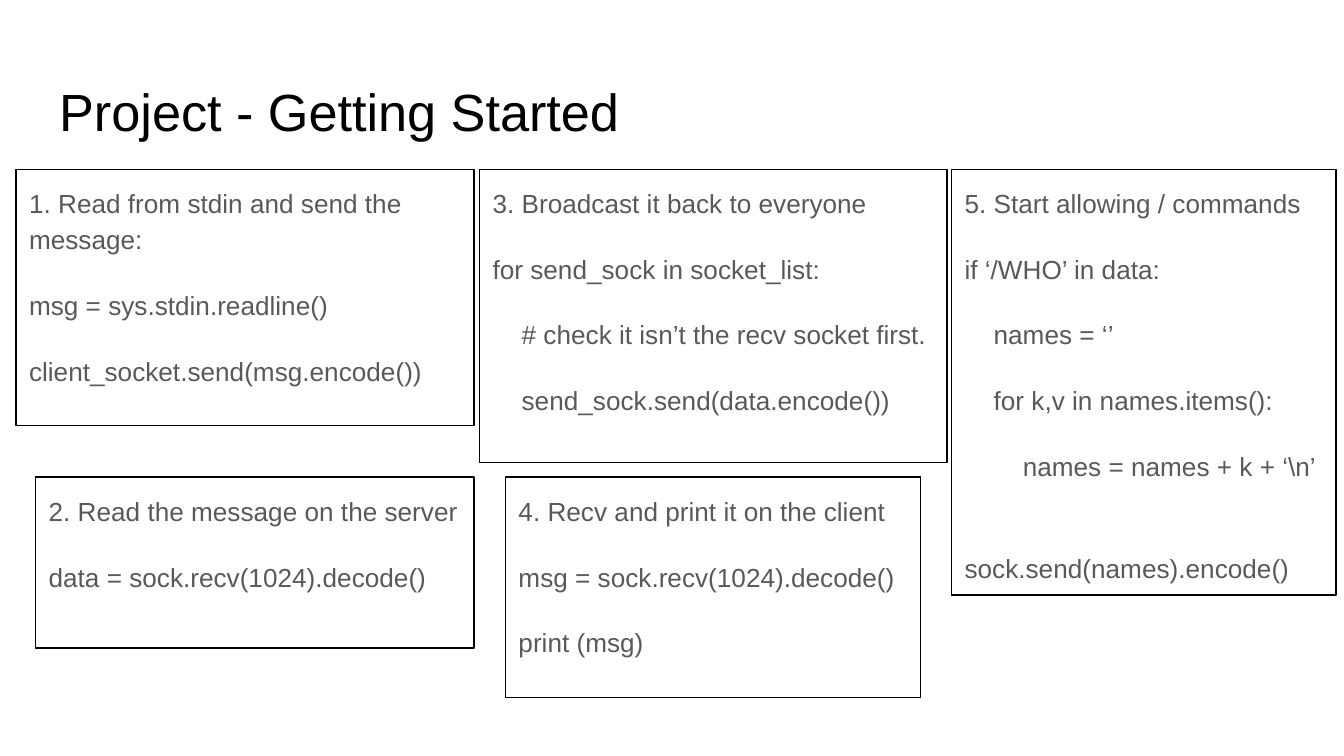
"""Builds the slide "Project - Getting Started" with five bordered code steps."""
import pptx
import pptx.dml.color
import pptx.enum.shapes
import pptx.enum.text
import pptx.util

Cm = pptx.util.Cm
Pt = pptx.util.Pt

THEME = {
    "font": "Arial",
    "title_size": Pt(28),
    "step_size": Pt(14),
    "title_color": pptx.dml.color.RGBColor(0, 0, 0),
    "step_color": pptx.dml.color.RGBColor(0x59, 0x59, 0x59),
    "border_color": pptx.dml.color.RGBColor(0, 0, 0),
}
INSET = Cm(0.25)
INDENT = Cm(0.55)
TOP_ROW = 3.2
BOTTOM_ROW = 9.02


def prepare_frame(shape):
    frame = shape.text_frame
    frame.word_wrap = True
    frame.vertical_anchor = pptx.enum.text.MSO_ANCHOR.TOP
    frame.margin_left = frame.margin_right = INSET
    frame.margin_top = frame.margin_bottom = INSET
    return frame


def write_line(paragraph, text, size, color):
    paragraph.text = text
    paragraph.alignment = pptx.enum.text.PP_ALIGN.LEFT
    for run in paragraph.runs:
        run.font.name = THEME["font"]
        run.font.size = size
        run.font.color.rgb = color


presentation = pptx.Presentation()
presentation.slide_width = Cm(25.4)
presentation.slide_height = Cm(14.29)
slide = presentation.slides.add_slide(presentation.slide_layouts[6])

title = slide.shapes.add_textbox(Cm(0.87), Cm(1.24), Cm(23.67), Cm(1.6))
write_line(prepare_frame(title).paragraphs[0], "Project - Getting Started",
           THEME["title_size"], THEME["title_color"])

steps = [
    (0.3, TOP_ROW, 8.66, 4.85, [
        (0, "1. Read from stdin and send the message:"),
        (0, "msg = sys.stdin.readline()"),
        (0, "client_socket.send(msg.encode())"),
    ]),
    (0.67, BOTTOM_ROW, 8.29, 3.23, [
        (0, "2. Read the message on the server"),
        (0, "data = sock.recv(1024).decode()"),
    ]),
    (9.06, TOP_ROW, 8.84, 5.54, [
        (0, "3. Broadcast it back to everyone"),
        (0, "for send_sock in socket_list:"),
        (1, "# check it isn’t the recv socket first."),
        (1, "send_sock.send(data.encode())"),
    ]),
    (9.55, BOTTOM_ROW, 7.85, 4.17, [
        (0, "4. Recv and print it on the client"),
        (0, "msg = sock.recv(1024).decode()"),
        (0, "print (msg)"),
    ]),
    (17.98, TOP_ROW, 7.27, 8.05, [
        (0, "5. Start allowing / commands"),
        (0, "if ‘/WHO’ in data:"),
        (1, "names = ‘’"),
        (1, "for k,v in names.items():"),
        (2, "names = names + k + ‘\\n’"),
        (0, "sock.send(names).encode()"),
    ]),
]

for left, top, width, height, lines in steps:
    box = slide.shapes.add_shape(pptx.enum.shapes.MSO_SHAPE.RECTANGLE,
                                 Cm(left), Cm(top), Cm(width), Cm(height))
    box.shadow.inherit = False
    box.fill.background()
    box.line.color.rgb = THEME["border_color"]
    box.line.width = Pt(0.75)
    frame = prepare_frame(box)
    for index, (level, text) in enumerate(lines):
        paragraph = frame.add_paragraph() if index else frame.paragraphs[0]
        write_line(paragraph, text, THEME["step_size"], THEME["step_color"])
        paragraph.line_spacing = 1.15
        paragraph.space_after = Pt(16)
        if level:
            paragraph._p.get_or_add_pPr().set("marL", str(level * INDENT))

frame.paragraphs[-1].space_before = Pt(19)

presentation.save("out.pptx")
